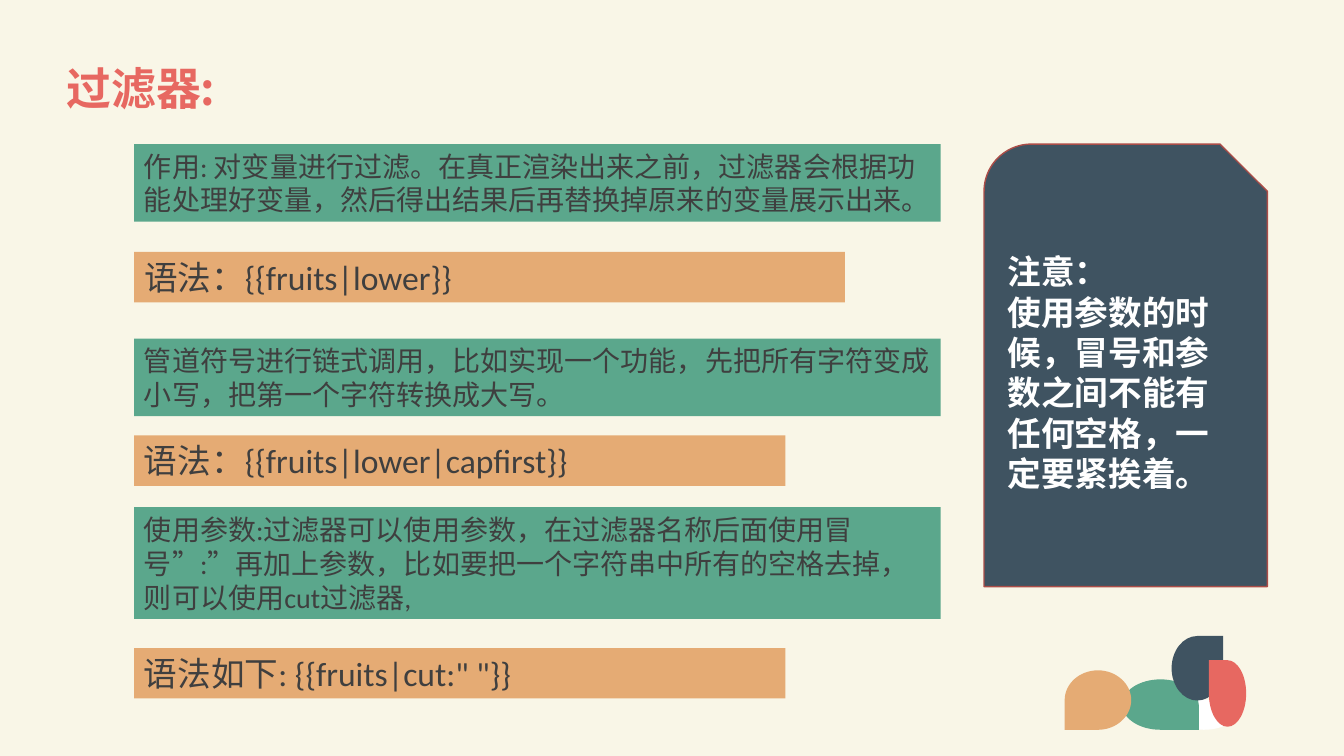
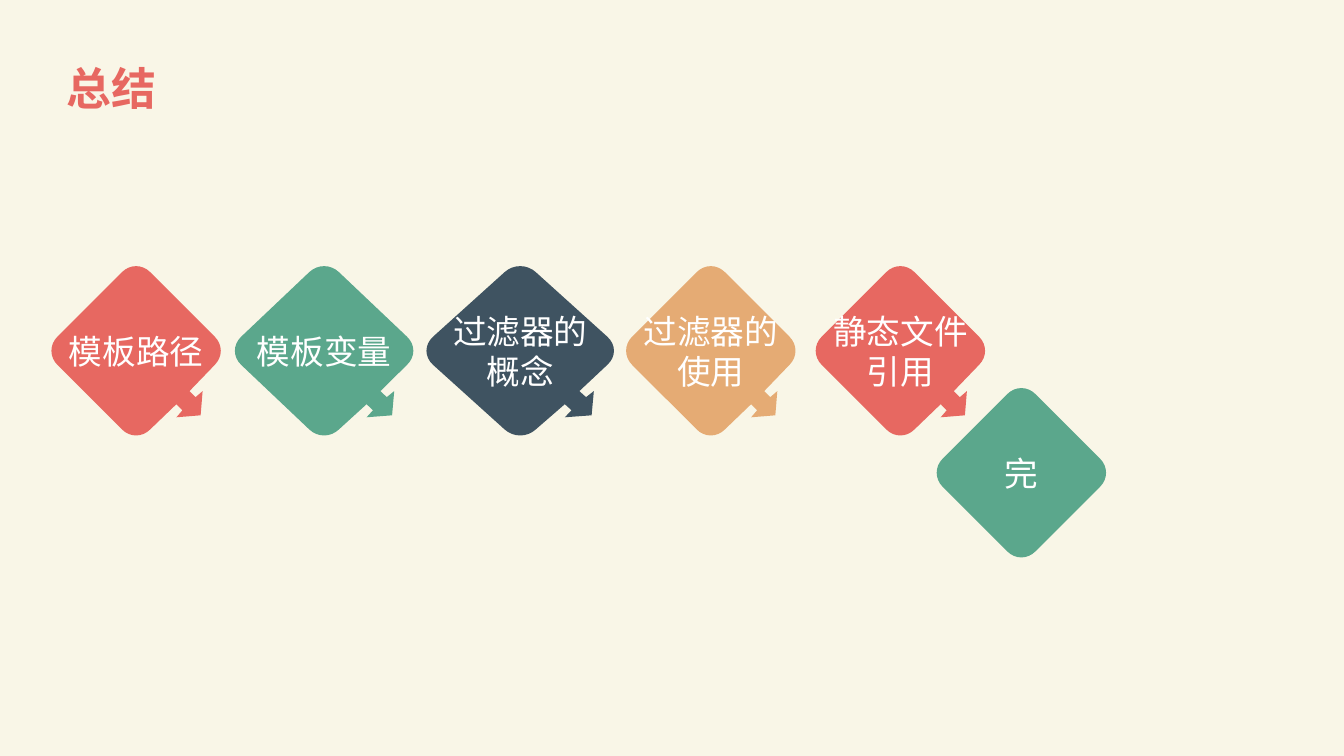
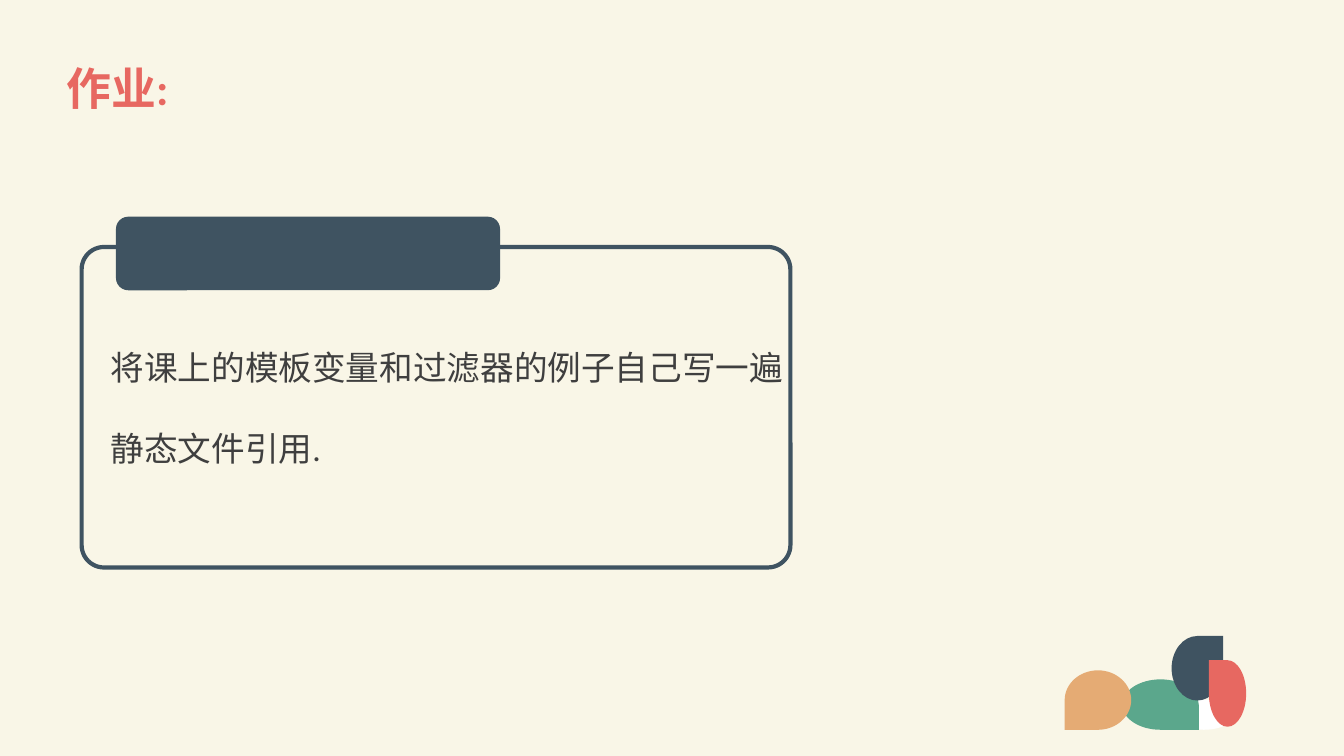
"""Build three course slides on template filters: usage, summary and homework."""
from dataclasses import dataclass
from typing import Callable, Optional

from lxml import etree
from pptx import Presentation
from pptx.dml.color import RGBColor
from pptx.enum import shapes, text
from pptx.oxml.ns import qn
from pptx.shapes.autoshape import Shape
from pptx.slide import Slide
from pptx.util import Inches, Pt

Point = tuple[float, float]
Segment = tuple[Point, ...]  # one point for a line, three for a cubic curve
Box = tuple[float, float, float, float]


@dataclass(frozen=True)
class Theme:
    """Colours, fonts and type sizes shared by every slide."""
    paper: str = "F9F6E7"
    coral: str = "E76861"
    green: str = "5BA78C"
    navy: str = "3F5361"
    sand: str = "E5AB74"
    brick: str = "AB4D48"
    white: str = "FFFFFF"
    ink: str = "3F3F3F"
    body_font: str = "Calibri"
    step_font: str = "Arial"
    cjk_font: str = "Noto Sans CJK SC"
    title_size: int = 32
    large: int = 24
    small: int = 20


THEME = Theme()


@dataclass(frozen=True)
class Petal:
    """An ellipse with one square corner, given by its x and y direction."""
    box: Box
    color: str
    corner: tuple[int, int]


@dataclass(frozen=True)
class Band:
    """A filled strip of explanation or syntax."""
    wording: str
    top: float
    width: float
    height: float
    color: str
    size: int
    cjk_font: str = THEME.body_font
    line_height: Optional[Pt] = None


@dataclass(frozen=True)
class Step:
    """A rounded diamond of the summary, with or without an arrow."""
    wording: str
    left: float
    color: str
    width: float = 1.68
    top: float = 2.64
    arrow: bool = True


PETALS = (
    Petal((11.13, 6.74, 0.76, 0.5), THEME.green, (1, 1)),
    Petal((11.62, 6.31, 0.51, 0.64), THEME.navy, (1, -1)),
    Petal((11.99, 6.55, 0.37, 0.66), THEME.coral, (-1, -1)),
    Petal((10.56, 6.65, 0.66, 0.59), THEME.sand, (-1, 1)),
)


def explanation(wording: str, top: float, height: float = 0.77, **format_options) -> Band:
    """Describe a green band of explanation."""
    return Band(wording, top, 8, height, THEME.green, THEME.small, **format_options)


def syntax(wording: str, top: float, width: float = 6.46) -> Band:
    """Describe a sand band with a line of syntax."""
    return Band(wording, top, width, 0.5, THEME.sand, THEME.large)


BANDS = (
    explanation("作用: 对变量进行过滤。在真正渲染出来之前，过滤器会根据功能处理好变量，"
                "然后得出结果后再替换掉原来的变量展示出来。", 1.43),
    syntax("语法：{{fruits|lower}}", 2.5, 7.05),
    explanation("管道符号进行链式调用，比如实现一个功能，先把所有字符变成小写，"
                "把第一个字符转换成大写。", 3.36),
    syntax("语法：{{fruits|lower|capfirst}}", 4.32),
    explanation("使用参数:过滤器可以使用参数，在过滤器名称后面使用冒号”:”再加上参数，"
                "比如要把一个字符串中所有的空格去掉，则可以使用cut过滤器,", 5.03, 1.11,
                cjk_font=THEME.cjk_font, line_height=Pt(24.4)),
    syntax('语法如下: {{fruits|cut:" "}}', 6.43),
)

STEPS = (
    Step("模板路径", 0.51, THEME.coral),
    Step("模板变量", 2.33, THEME.green, width=1.77),
    Step("过滤器的概念", 4.23, THEME.navy, width=1.86),
    Step("过滤器的使用", 6.21, THEME.sand),
    Step("静态文件引用", 8.09, THEME.coral),
    Step("完", 9.29, THEME.green, top=3.85, arrow=False),
)

# Distances from the centre of a diamond with a half-width of HALF.
HALF = 0.84
ROUNDED_TIP: tuple[Segment, ...] = (
    ((-0.14, -0.78),),
    ((-0.1, -0.82), (-0.05, -0.84), (0, -0.84)),
    ((0.05, -0.84), (0.1, -0.82), (0.14, -0.78)),
)
ARROW: tuple[Segment, ...] = tuple((point,) for point in (
    (0.53, 0.40), (0.59, 0.46), (0.66, 0.40), (0.64, 0.64),
    (0.40, 0.66), (0.46, 0.59), (0.40, 0.53)))

# A petal in a square from -1 to 1, its corner at (1, 1).
ARC = 0.55
PETAL_PATH: tuple[Segment, ...] = (
    ((1, 1),),
    ((0, 1),),
    ((-ARC, 1), (-1, ARC), (-1, 0)),
    ((-1, -ARC), (-ARC, -1), (0, -1)),
    ((ARC, -1), (1, -ARC), (1, 0)),
)


def write(shape: Shape, *paragraphs: str, size: int = THEME.large, color: str = THEME.ink,
          font: str = THEME.body_font, cjk_font: str = THEME.body_font,
          bold: bool = False, wrap: bool = True,
          align: text.PP_ALIGN = text.PP_ALIGN.LEFT,
          anchor: text.MSO_ANCHOR = text.MSO_ANCHOR.TOP,
          line_spacing: Optional[float] = None, gap: float = 0, grow: bool = False) -> None:
    """Write paragraphs into a shape in one format."""
    frame = shape.text_frame
    frame.word_wrap = wrap
    frame.vertical_anchor = anchor
    if grow:
        frame.auto_size = text.MSO_AUTO_SIZE.SHAPE_TO_FIT_TEXT
    for index, wording in enumerate(paragraphs):
        paragraph = frame.add_paragraph() if index else frame.paragraphs[0]
        paragraph.alignment = align
        paragraph.line_spacing = line_spacing
        paragraph.space_before = Pt(gap if index else 0)
        run = paragraph.add_run()
        run.text = wording
        run.font.name = font
        run.font.size = Pt(size)
        run.font.bold = bold
        run.font.color.rgb = RGBColor.from_string(color)
        east_asian = etree.SubElement(run.font._element, qn("a:ea"))
        east_asian.set("typeface", cjk_font)


def paint(shape: Shape, fill: Optional[str] = None, line: Optional[str] = None,
          weight: float = 1) -> Shape:
    """Set fill and line of a shape and take its shadow away."""
    shape.shadow.inherit = False
    if fill:
        shape.fill.solid()
        shape.fill.fore_color.rgb = RGBColor.from_string(fill)
    else:
        shape.fill.background()
    if line:
        shape.line.color.rgb = RGBColor.from_string(line)
        shape.line.width = Pt(weight)
    else:
        shape.line.fill.background()
    return shape


def add_preset(slide: Slide, kind: shapes.MSO_SHAPE, box: Box, fill: Optional[str] = None,
               line: Optional[str] = None, weight: float = 1) -> Shape:
    """Add a preset shape."""
    return paint(slide.shapes.add_shape(kind, *map(Inches, box)), fill, line, weight)


def add_outline(slide: Slide, segments: list[Segment], place: Callable[[Point], Point],
                fill: str) -> Shape:
    """Add a closed outline of lines and curves, each point placed in inches."""
    start, *rest = [tuple(map(Inches, place(point))) for segment in segments for point in segment]
    builder = slide.shapes.build_freeform(*start)
    builder.add_line_segments(rest, close=True)
    shape = builder.convert_to_shape()
    lines = iter(list(shape._element.iter(qn("a:lnTo"))))
    for segment in segments[1:]:
        members = [next(lines) for _ in segment]
        if len(members) == 3:
            curve = etree.Element(qn("a:cubicBezTo"))
            members[0].addprevious(curve)
            for member in members:
                curve.append(member[0])
                member.getparent().remove(member)
    return paint(shape, fill)


def add_textbox(slide: Slide, box: Box) -> Shape:
    """Add an empty text box."""
    return slide.shapes.add_textbox(*map(Inches, box))


def add_title(slide: Slide, wording: str, font: str = THEME.body_font) -> None:
    """Add the slide title."""
    write(add_textbox(slide, (0.56, 0.37, 12.29, 1.06)), wording, size=THEME.title_size,
          color=THEME.coral, font=font, bold=True, line_spacing=0.9,
          anchor=text.MSO_ANCHOR.MIDDLE)


def add_petal(slide: Slide, petal: Petal) -> None:
    """Add one petal, its square corner turned by mirroring."""
    left, top, width, height = petal.box
    corner_x, corner_y = petal.corner

    def place(point: Point) -> Point:
        """Fit a point of the unit petal into the box."""
        return (left + width * (1 + corner_x * point[0]) / 2,
                top + height * (1 + corner_y * point[1]) / 2)

    add_outline(slide, list(PETAL_PATH), place, petal.color)


def add_petals(slide: Slide) -> None:
    """Add the petal ornament in the lower right corner."""
    add_preset(slide, shapes.MSO_SHAPE.OVAL, (11.64, 6.94, 0.6, 0.3), THEME.white)
    for petal in PETALS:
        add_petal(slide, petal)


def add_step(slide: Slide, step: Step) -> None:
    """Turn the rounded tip to all four sides, with the arrow after the right one."""
    tip = ROUNDED_TIP
    segments: list[Segment] = []
    for side in range(4):
        segments += tip
        if step.arrow and side == 1:
            segments += ARROW
        tip = tuple(tuple((-y, x) for x, y in segment) for segment in tip)

    def place(point: Point) -> Point:
        """Stretch a point to the width of the step."""
        return (step.left + (HALF + point[0]) * step.width / (2 * HALF),
                step.top + HALF + point[1])

    write(add_outline(slide, segments, place, step.color), step.wording,
          color=THEME.white, font=THEME.step_font,
          align=text.PP_ALIGN.CENTER, anchor=text.MSO_ANCHOR.MIDDLE)


def build_filters(slide: Slide) -> None:
    """Explain filters, with their syntax and a warning."""
    add_title(slide, "过滤器:", font=THEME.cjk_font)
    add_petals(slide)
    for band in BANDS:
        strip = add_preset(slide, shapes.MSO_SHAPE.RECTANGLE,
                           (1.33, band.top, band.width, band.height), band.color)
        write(strip, band.wording, size=band.size, cjk_font=band.cjk_font,
              line_spacing=band.line_height, grow=True)
    warning = add_preset(slide, shapes.MSO_SHAPE.SNIP_ROUND_RECTANGLE,
                         (9.76, 1.43, 2.81, 4.39), THEME.navy, THEME.brick)
    write(warning, "注意：", "使用参数的时候，冒号和参数之间不能有任何空格，一定要紧挨着。",
          color=THEME.white, bold=True, anchor=text.MSO_ANCHOR.MIDDLE)


def build_summary(slide: Slide) -> None:
    """Sum up the lesson as a chain of diamonds."""
    add_title(slide, "总结")
    for step in STEPS:
        add_step(slide, step)


def build_homework(slide: Slide) -> None:
    """Set the homework in a framed card."""
    add_title(slide, "作业:")
    add_petals(slide)
    card = add_preset(slide, shapes.MSO_SHAPE.ROUNDED_RECTANGLE, (0.81, 2.45, 7.03, 3.18),
                      line=THEME.navy, weight=3)
    card.adjustments[0] = 0.07
    add_preset(slide, shapes.MSO_SHAPE.ROUNDED_RECTANGLE, (1.15, 2.15, 3.81, 0.73), THEME.navy)
    write(add_textbox(slide, (1, 3.39, 6.93, 1.31)),
          "将课上的模板变量和过滤器的例子自己写一遍", "静态文件引用.",
          wrap=False, gap=29, grow=True)


def main() -> None:
    """Build and save the presentation."""
    deck = Presentation()
    deck.slide_width, deck.slide_height = Inches(13.33), Inches(7.5)
    backdrop = deck.slide_master.background.fill
    backdrop.solid()
    backdrop.fore_color.rgb = RGBColor.from_string(THEME.paper)
    blank = deck.slide_layouts[6]
    for build in (build_filters, build_summary, build_homework):
        build(deck.slides.add_slide(blank))
    deck.save("out.pptx")


main()
